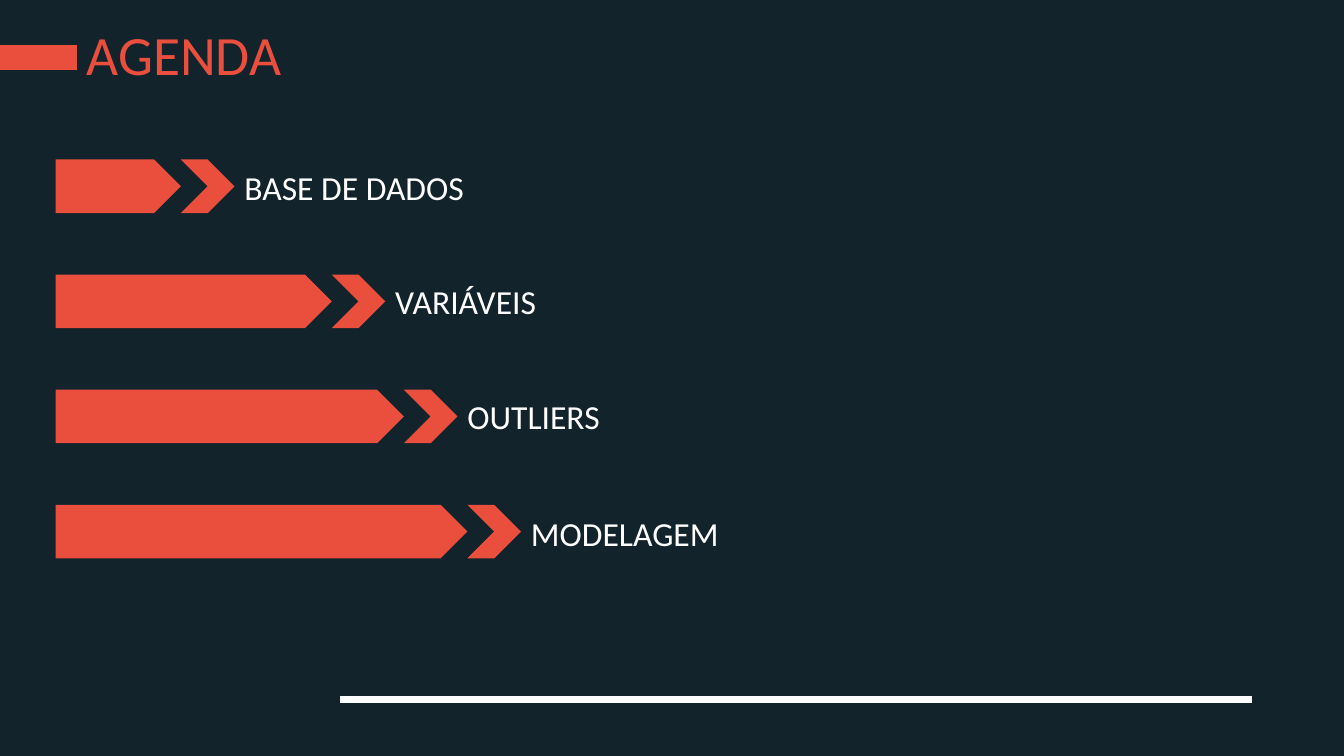
from lxml import etree
from pptx import Presentation
from pptx import util as u
from pptx.dml.color import RGBColor
from pptx.enum import shapes, text
from pptx.oxml import ns

NAVY = RGBColor(0x13, 0x23, 0x2C)
CORAL = RGBColor(0xEA, 0x4F, 0x3E)
WHITE = RGBColor(0xFF, 0xFF, 0xFF)

BAR_LEFT = 1.4
FIRST_TOP = 4.02
ROW_PITCH = 2.9
ARROW_SIZE = 1.35
LABEL_HEIGHT = 1.27

TOPICS = [
    ("BASE DE DADOS", 3.16, 6.1, 0.05),
    ("VARIÁVEIS", 6.96, 4.09, 0.03),
    ("OUTLIERS", 8.78, 3.89, 0.03),
    ("MODELAGEM", 10.38, 5.28, 0.07),
]


class AgendaSlide:
    font = "Calibri"

    def __init__(self, deck):
        self.page = deck.slides.add_slide(deck.slide_layouts[6])
        self.page.background.fill.solid()
        self.page.background.fill.fore_color.rgb = NAVY

    def rule(self, left, right, y, color, weight):
        line = self.page.shapes.add_connector(
            shapes.MSO_CONNECTOR.STRAIGHT, u.Cm(left), u.Cm(y), u.Cm(right), u.Cm(y))
        line.line.color.rgb = color
        line.line.width = u.Pt(weight)
        etree.SubElement(line._element.spPr, ns.qn("a:effectLst"))

    def arrow(self, parent, kind, left, top, width):
        arrow = parent.shapes.add_shape(
            kind, u.Cm(left), u.Cm(top), u.Cm(width), u.Cm(ARROW_SIZE))
        arrow.shadow.inherit = False
        arrow.fill.solid()
        arrow.fill.fore_color.rgb = CORAL
        arrow.line.fill.background()

    def label(self, parent, words, left, top, width, height, size, color):
        box = parent.shapes.add_textbox(u.Cm(left), u.Cm(top), u.Cm(width), u.Cm(height))
        box.text_frame.text = words
        para = box.text_frame.paragraphs[0]
        span = para.runs[0]
        span.font.name = self.font
        span.font.size = u.Pt(size)
        span.font.color.rgb = color
        return box

    def title(self, words):
        box = self.label(self.page, words, 1.93, 0.53, 29.21, 1.83, 39.6, CORAL)
        box.text_frame.word_wrap = True
        box.text_frame.vertical_anchor = text.MSO_ANCHOR.MIDDLE
        box.text_frame.paragraphs[0].line_spacing = 0.9

    def topic(self, words, top, bar_width, label_width, label_drop):
        group = self.page.shapes.add_group_shape()
        chevron_left = BAR_LEFT + bar_width
        self.arrow(group, shapes.MSO_SHAPE.PENTAGON, BAR_LEFT, top, bar_width)
        self.arrow(group, shapes.MSO_SHAPE.CHEVRON, chevron_left, top, ARROW_SIZE)
        box = self.label(group, words, chevron_left + ARROW_SIZE, top + label_drop,
                         label_width, LABEL_HEIGHT, 24, WHITE)
        box.text_frame.word_wrap = False
        box.text_frame.auto_size = text.MSO_AUTO_SIZE.SHAPE_TO_FIT_TEXT


def main():
    deck = Presentation()
    deck.slide_width = u.Cm(33.87)
    deck.slide_height = u.Cm(19.05)
    agenda = AgendaSlide(deck)
    agenda.rule(8.58, 31.55, 17.63, WHITE, 4.5)
    agenda.rule(-0.03, 1.93, 1.45, CORAL, 17.75)
    agenda.title("AGENDA")
    for row, (words, bar_width, label_width, label_drop) in enumerate(TOPICS):
        agenda.topic(words, FIRST_TOP + row * ROW_PITCH, bar_width, label_width, label_drop)
    deck.save("out.pptx")


if __name__ == "__main__":
    main()
